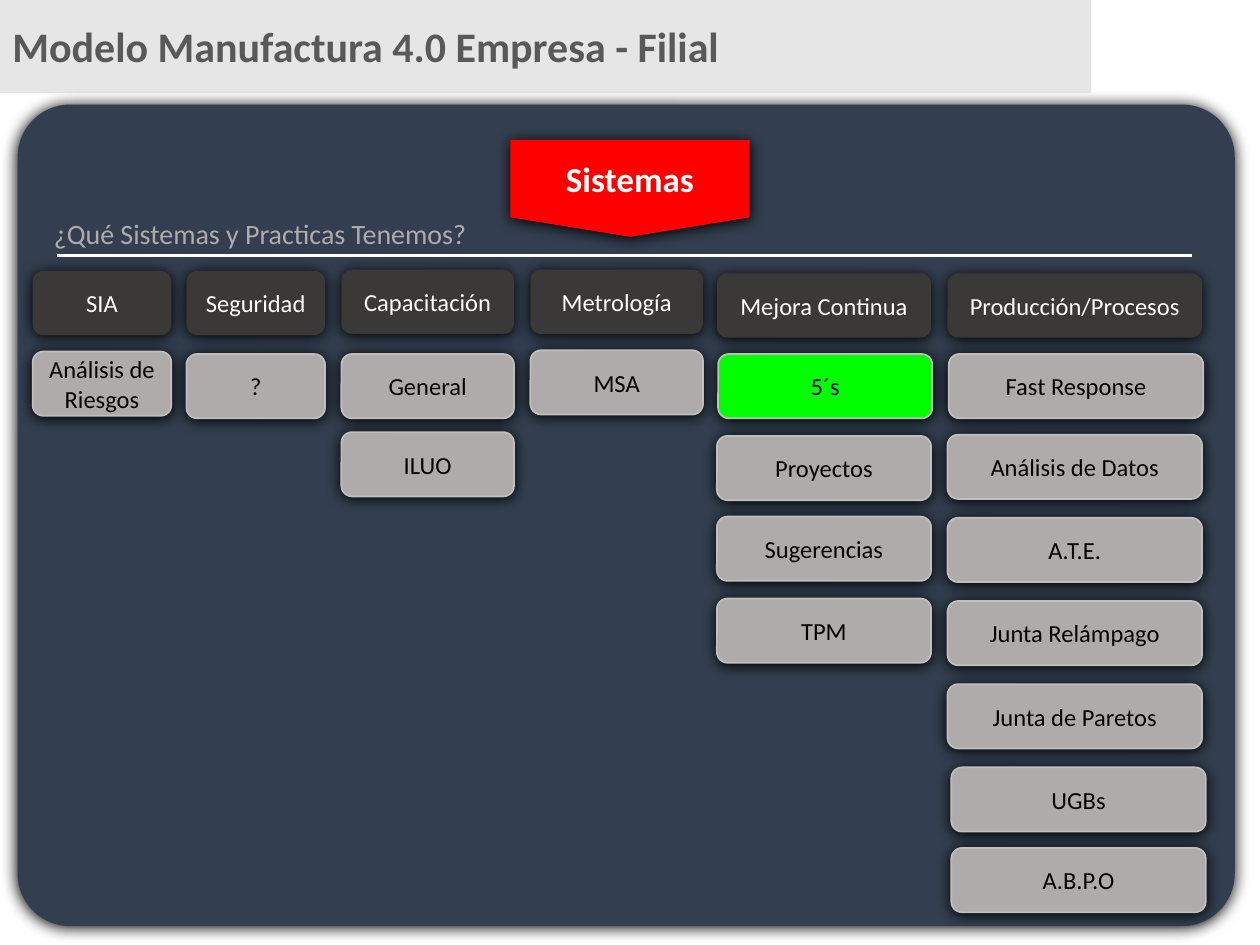
from dataclasses import dataclass

import pptx
import pptx.dml.color
import pptx.enum.shapes
import pptx.enum.text
import pptx.oxml
import pptx.oxml.ns
import pptx.util

Inches = pptx.util.Inches
Pt = pptx.util.Pt
MSO_SHAPE = pptx.enum.shapes.MSO_SHAPE
PP_ALIGN = pptx.enum.text.PP_ALIGN
MSO_ANCHOR = pptx.enum.text.MSO_ANCHOR

WHITE, BLACK = "FFFFFF", "000000"
DARK, GRAY, GREEN = "3B3838", "AFABAB", "00FF00"
BORDER = "BFBFBF"
BOX_HEIGHT = 0.51


@dataclass
class Box:
    text: str
    top: float
    fill: str = GRAY
    shift: float = 0


@dataclass
class Column:
    left: float
    width: float
    header: Box
    items: list[Box]


COLUMNS = [
    Column(0.26, 1.1, Box("SIA", 2.15), [Box("Análisis de Riesgos", 2.79)]),
    Column(1.48, 1.1, Box("Seguridad", 2.15), [Box("?", 2.81)]),
    Column(2.71, 1.37, Box("Capacitación", 2.14),
           [Box("General", 2.81), Box("ILUO", 3.43)]),
    Column(4.21, 1.37, Box("Metrología", 2.14), [Box("MSA", 2.78)]),
    Column(5.69, 1.7, Box("Mejora Continua", 2.17),
           [Box("5´s", 2.81, GREEN, 0.01), Box("Proyectos", 3.46),
            Box("Sugerencias", 4.1), Box("TPM", 4.75)]),
    Column(7.52, 2.02, Box("Producción/Procesos", 2.17),
           [Box("Fast Response", 2.81, shift=0.01), Box("Análisis de Datos", 3.45),
            Box("A.T.E.", 4.11), Box("Junta Relámpago", 4.77),
            Box("Junta de Paretos", 5.43), Box("UGBs", 6.09, shift=0.03),
            Box("A.B.P.O", 6.73, shift=0.03)]),
]


def rgb(color: str) -> pptx.dml.color.RGBColor:
    return pptx.dml.color.RGBColor.from_string(color)


def add_shadow(sp) -> None:
    effects = sp._element.spPr.find(pptx.oxml.ns.qn("a:effectLst"))
    effects.append(pptx.oxml.parse_xml(
        f'<a:outerShdw {pptx.oxml.ns.nsdecls("a")} blurRad="{Pt(8.5)}" '
        f'dist="{Pt(1)}" dir="5400000" algn="t" rotWithShape="0">'
        f'<a:srgbClr val="{BLACK}"/></a:outerShdw>'))


def add_block(s, kind, left: float, top: float, width: float, height: float,
              fill: str, border: str | None = None, shadow: bool = True):
    sp = s.shapes.add_shape(kind, Inches(left), Inches(top),
                            Inches(width), Inches(height))
    sp.fill.solid()
    sp.fill.fore_color.rgb = rgb(fill)
    if border:
        sp.line.color.rgb = rgb(border)
        sp.line.width = Pt(1)
    else:
        sp.line.fill.background()
    sp.shadow.inherit = False
    if shadow:
        add_shadow(sp)
    return sp


def set_text(sp, text: str, size: float, color: str, bold: bool = False,
             align=PP_ALIGN.CENTER, anchor=MSO_ANCHOR.MIDDLE) -> None:
    tf = sp.text_frame
    tf.word_wrap = True
    tf.vertical_anchor = anchor
    p = tf.paragraphs[0]
    p.text = text
    p.alignment = align
    p.font.name = "Calibri"
    p.font.size = Pt(size)
    p.font.bold = bold
    p.font.color.rgb = rgb(color)


def add_box(s, col: Column, box: Box, fill: str, color: str,
            border: str | None = None) -> None:
    sp = add_block(s, MSO_SHAPE.ROUNDED_RECTANGLE, col.left + box.shift, box.top,
                   col.width, BOX_HEIGHT, fill, border)
    set_text(sp, box.text, 14, color)


def add_column(s, col: Column) -> None:
    add_box(s, col, col.header, DARK, WHITE)
    for item in col.items:
        add_box(s, col, item, item.fill, BLACK, BORDER)


def add_rule(s, left: float, right: float, top: float) -> None:
    line = s.shapes.add_connector(pptx.enum.shapes.MSO_CONNECTOR.STRAIGHT,
                                  Inches(left), Inches(top), Inches(right), Inches(top))
    line.line.color.rgb = rgb(WHITE)
    line.line.width = Pt(1.5)
    line._element.spPr.append(pptx.oxml.parse_xml(
        f'<a:effectLst {pptx.oxml.ns.nsdecls("a")}/>'))


def main() -> None:
    prs = pptx.Presentation()
    prs.slide_width, prs.slide_height = Inches(10), Inches(7.5)
    s = prs.slides.add_slide(prs.slide_layouts[6])

    title = add_block(s, MSO_SHAPE.RECTANGLE, 0, -0.02, 8.66, 0.76, "E7E6E6", shadow=False)
    set_text(title, "Modelo Manufactura 4.0 Empresa - Filial", 24, "595959", True, PP_ALIGN.LEFT)

    panel = add_block(s, MSO_SHAPE.ROUNDED_RECTANGLE, 0.14, 0.83, 9.66, 6.52, "333F50")
    panel.adjustments[0] = 0.064
    add_rule(s, 0.45, 9.46, 2.03)

    question = s.shapes.add_textbox(Inches(0.33), Inches(1.67), Inches(3.88), Inches(0.37))
    set_text(question, "¿Qué Sistemas y Practicas Tenemos?", 16, GRAY,
             align=PP_ALIGN.LEFT, anchor=MSO_ANCHOR.TOP)
    question.text_frame.auto_size = pptx.enum.text.MSO_AUTO_SIZE.SHAPE_TO_FIT_TEXT

    banner = add_block(s, MSO_SHAPE.FLOWCHART_OFFPAGE_CONNECTOR,
                       4.05, 1.11, 1.9, 0.77, "FF0000")
    set_text(banner, "Sistemas", 20, WHITE, True)

    for col in COLUMNS:
        add_column(s, col)

    prs.save("out.pptx")


if __name__ == "__main__":
    main()
